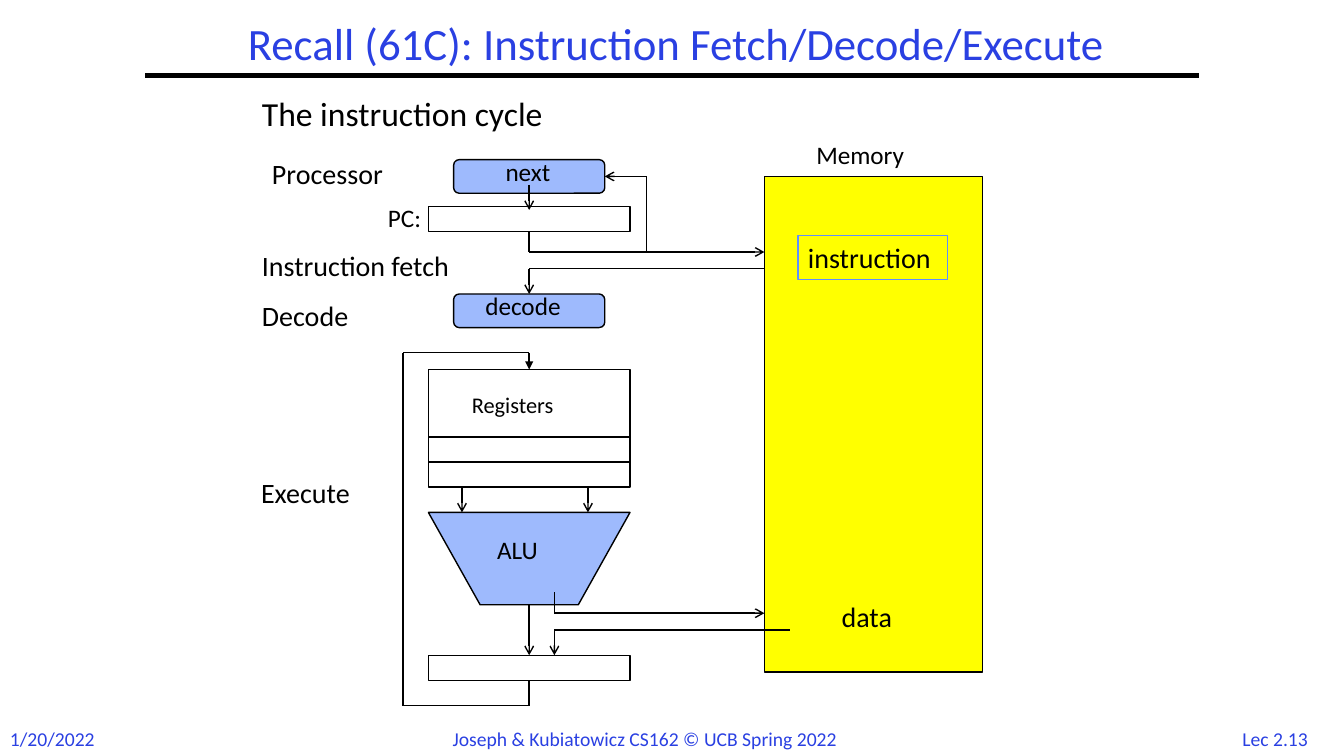
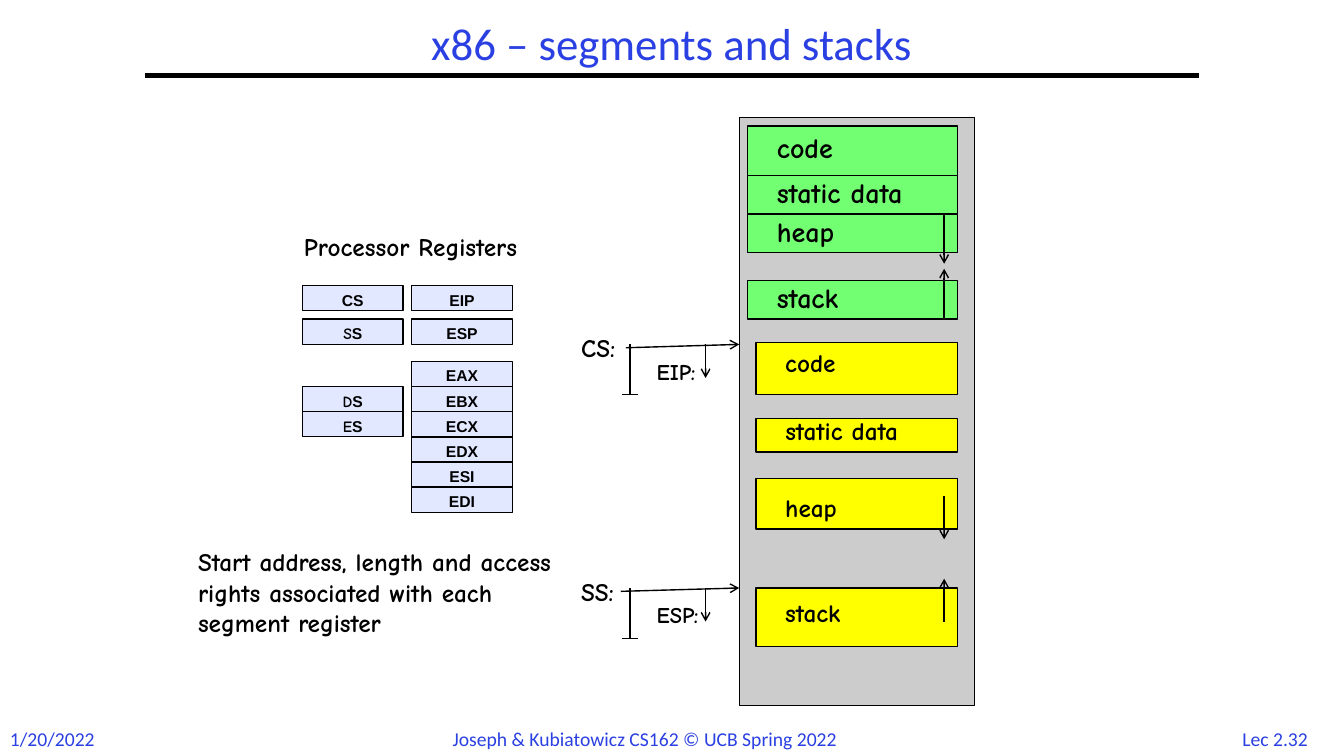
from lxml.etree import SubElement
from pptx import Presentation
from pptx.dml.color import RGBColor
from pptx.enum.shapes import MSO_CONNECTOR, MSO_SHAPE
from pptx.enum.text import MSO_ANCHOR, MSO_AUTO_SIZE, PP_ALIGN
from pptx.oxml.ns import qn
from pptx.util import Inches, Pt

WIDE, HIGH = 13.33, 7.5
COLS, ROWS = 160, 90
COLORS = {
    "white": "FFFFFF", "black": "000000", "title": "2A40E2", "unit": "618FFD",
    "memory": "FFFF00", "segment": "72FF72", "register": "E2E8FF", "space": "CCCCCC",
}
BODY, COMIC, SANS = "Calibri", "Comic Neue", "Arial"
TOP, LEFT, BOTTOM, RIGHT = range(4)


def tint(name):
    return RGBColor.from_string(COLORS[name])


def write(frame, text, size=18, font=BODY, color="black", bold=False, align=PP_ALIGN.LEFT,
          anchor=MSO_ANCHOR.TOP, space=1.0, wrap=False):
    """Fill a text frame; text is a string or a list of (string, font) pairs."""
    frame.auto_size = MSO_AUTO_SIZE.NONE
    frame.word_wrap = wrap
    frame.vertical_anchor = anchor
    para = frame.paragraphs[0]
    para.alignment = align
    para.line_spacing = space
    for part, face in [(text, font)] if isinstance(text, str) else text:
        run = para.add_run()
        run.text = part
        run.font.name = face
        run.font.size = Pt(size)
        run.font.bold = bold
        run.font.color.rgb = tint(color)


class Deck:
    """Holds the style and the current slide; lengths are grid columns and rows."""

    def __init__(self):
        self.file = Presentation()
        self.file.slide_width, self.file.slide_height = Inches(WIDE), Inches(HIGH)
        self.slide = None

    def x(self, col):
        return int(self.file.slide_width * col / COLS)

    def y(self, row):
        return int(self.file.slide_height * row / ROWS)

    def area(self, col, row, wide, high):
        return self.x(col), self.y(row), self.x(wide), self.y(high)

    def start(self, title, number, col, wide):
        """Add a slide with its title, rule and footers."""
        self.slide = self.file.slides.add_slide(self.file.slide_layouts[5])
        fill = self.slide.background.fill
        fill.solid()
        fill.fore_color.rgb = tint("white")
        head = self.slide.shapes.title
        head.left, head.top, head.width, head.height = self.area(col, 2, wide, 7)
        write(head.text_frame, title, size=32, color="title", align=PP_ALIGN.CENTER,
              anchor=MSO_ANCHOR.MIDDLE, space=0.9, wrap=True)
        self.wire((17.3, 9), (142.7, 9), width=3)
        foot = dict(size=14, color="title")
        self.label("1/20/2022", 0, 85.9, 12.8, **foot)
        self.label("Joseph & Kubiatowicz CS162 © UCB Spring 2022", 52.7, 85.9, 54.6, **foot)
        self.label(number, 146, 85.9, 11.6, align=PP_ALIGN.CENTER, **foot)

    def label(self, text, col, row, wide, high=4.8, **style):
        box = self.slide.shapes.add_textbox(*self.area(col, row, wide, high))
        write(box.text_frame, text, **style)

    def box(self, col, row, wide, high, fill=None, kind=MSO_SHAPE.RECTANGLE,
            clear=None, edge="black", width=1, text=None, **style):
        shape = self.slide.shapes.add_shape(kind, *self.area(col, row, wide, high))
        shape.shadow.inherit = False
        shape.line.color.rgb = tint(edge)
        shape.line.width = Pt(width)
        if fill:
            shape.fill.solid()
            shape.fill.fore_color.rgb = tint(fill)
        else:
            shape.fill.background()
        if clear:
            hue = shape.fill._xPr.find(qn("a:solidFill"))[0]
            SubElement(hue, qn("a:alpha")).set("val", str(clear * 1000))
        if text:
            write(shape.text_frame, text, **style)
        return shape

    def wire(self, *points, head=None, width=1, first=None, last=None):
        """Join points by lines; first and last are (shape, side) to attach to."""
        lines = []
        for (col, row), (over, down) in zip(points, points[1:]):
            line = self.slide.shapes.add_connector(
                MSO_CONNECTOR.STRAIGHT, self.x(col), self.y(row), self.x(over), self.y(down))
            line.line.color.rgb = tint("black")
            line.line.width = Pt(width)
            SubElement(line._element.spPr, qn("a:effectLst"))
            lines.append(line)
        if head:
            edge = lines[-1]._element.spPr.find(qn("a:ln"))
            SubElement(edge, qn("a:tailEnd")).set("type", head)
        if first:
            lines[0].begin_connect(*first)
        if last:
            lines[-1].end_connect(*last)


def cycle(deck):
    deck.start("Recall (61C): Instruction Fetch/Decode/Execute", "Lec 2.13", 21, 119)
    deck.label("The instruction cycle", 30, 11, 100, 6, size=24, space=0.9, wrap=True)
    unit = dict(fill="unit", clear=61)
    count = deck.box(51, 24.6, 24, 3)
    deck.box(91, 21, 26, 59, fill="memory")
    follow, decode = [deck.box(54, row, 18, 4, kind=MSO_SHAPE.ROUNDED_RECTANGLE, **unit)
                      for row in (19, 35)]
    alu = deck.box(51, 61, 24, 11, kind=MSO_SHAPE.TRAPEZOID, **unit)
    alu.adjustments[0] = 0.56
    alu.rotation = 180
    bank = deck.box(51, 44, 24, 14)
    deck.box(51, 52, 24, 3)
    result = deck.box(51, 78, 24, 3)
    deck.box(95, 28, 17.8, 5.3, edge="unit", width=0.75, text="instruction", size=20)

    for text, col, row, wide, size in (
            ("Processor", 31.2, 18.1, 17.5, 20), ("Instruction fetch", 30, 29, 26.2, 20),
            ("Decode", 30, 35, 14, 20), ("Execute", 29.9, 56, 14.6, 20),
            ("data", 99, 70.8, 9, 20), ("PC:", 45, 23.5, 7.4, 18),
            ("Memory", 96, 16, 13.3, 18), ("next", 59, 18, 8.2, 18),
            ("decode", 56.6, 34, 12.4, 18), ("ALU", 58, 63, 8.3, 18),
            ("Registers", 55, 46, 13.8, 16)):
        deck.label(text, col, row, wide, size=size)

    deck.wire((63, 22), (63, 25), head="arrow")
    deck.wire((63, 27.6), (63, 30), (91, 30), head="arrow", first=(count, BOTTOM))
    deck.wire((77, 30), (77, 21), (72, 21), head="arrow", last=(follow, RIGHT))
    deck.wire((91, 32), (63, 32), (63, 35), head="arrow", last=(decode, TOP))
    for col in (55, 70):
        deck.wire((col, 58), (col, 61), head="arrow")
    deck.wire((66, 70.5), (66, 73), (91, 73), head="arrow")
    deck.wire((94, 75), (66, 75), (66, 78), head="arrow")
    deck.wire((63, 72), (63, 78), head="arrow", last=(result, TOP))
    deck.wire((63, 81), (63, 84), (48, 84), (48, 42), (63, 42), (63, 44),
              head="triangle", first=(result, BOTTOM), last=(bank, TOP))


def pointer(deck, row, start, base, offset):
    """Draw a segment base with its limit bar and the offset into it."""
    style = dict(font=COMIC, bold=True)
    deck.label(base, 68, row - 2, 7.8, **style)
    deck.label(offset, 77, row + 1, 8.4, 4.4, size=16, **style)
    deck.wire((start, row + 0.4), (88, row), head="arrow")
    deck.wire((75, row), (75, row + 6))
    deck.wire((74, row + 6), (76, row + 6))
    deck.wire((84, row), (84, row + 4), head="arrow")


def stacks(deck):
    deck.start("x86 – segments and stacks", "Lec 2.32", 17.3, 125.3)
    comic = dict(font=COMIC, bold=True)
    left = zip(("CS", "SS", "DS", "ES"), (34, 38, 46, 49))
    right = zip(("EIP", "ESP", "EAX", "EBX", "ECX", "EDX", "ESI", "EDI"),
                (34, 38, *range(43, 61, 3)))
    for col, names in ((36, left), (49, right)):
        for name, row in names:
            mixed = name in ("SS", "DS", "ES")
            text = [(name[0], COMIC), (name[1], SANS)] if mixed else name
            deck.box(col, row, 12, 3, fill="register", text=text, size=11.2, font=SANS,
                     bold=True, align=PP_ALIGN.CENTER, wrap=True)

    deck.box(88, 14, 28, 70, fill="space")
    names = ("code", "static data", "heap", "stack")
    green = (15, 5.9, 15), (20.9, 4.6, 20.3), (25.5, 4.6, 25), (33.4, 4.6, 32.8)
    yellow = (40.8, 6.2, 40.8), (49.8, 4, 48.8), (57, 6, 58), (70, 7, 70.5)
    for col, fill, size, wides, rows in (
            (89, "segment", 20, (9.7, 20.5, 10, 11), green),
            (90, "memory", 18, (9.1, 18.7, 9.1, 10.2), yellow)):
        for name, wide, (row, high, line) in zip(names, wides, rows):
            deck.box(col, row, 114 - col, high, fill=fill)
            deck.label(name, col + 2.3, line, wide, size=size, **comic)
    for begin, end in ((38, 32), (25.5, 31.4), (74, 68.9), (59, 64.2)):
        deck.wire((112.4, begin), (112.4, end), head="arrow")

    pointer(deck, 41, 74.5, "CS:", "EIP:")
    pointer(deck, 70, 73.9, "SS:", "ESP:")
    deck.label("Processor Registers", 35, 27, 32, wrap=True, **comic)
    deck.label("Start address, length and access rights associated with each segment register",
               22.4, 64.5, 45.5, 12, wrap=True, **comic)


def main():
    deck = Deck()
    cycle(deck)
    stacks(deck)
    deck.file.save("out.pptx")


if __name__ == "__main__":
    main()
